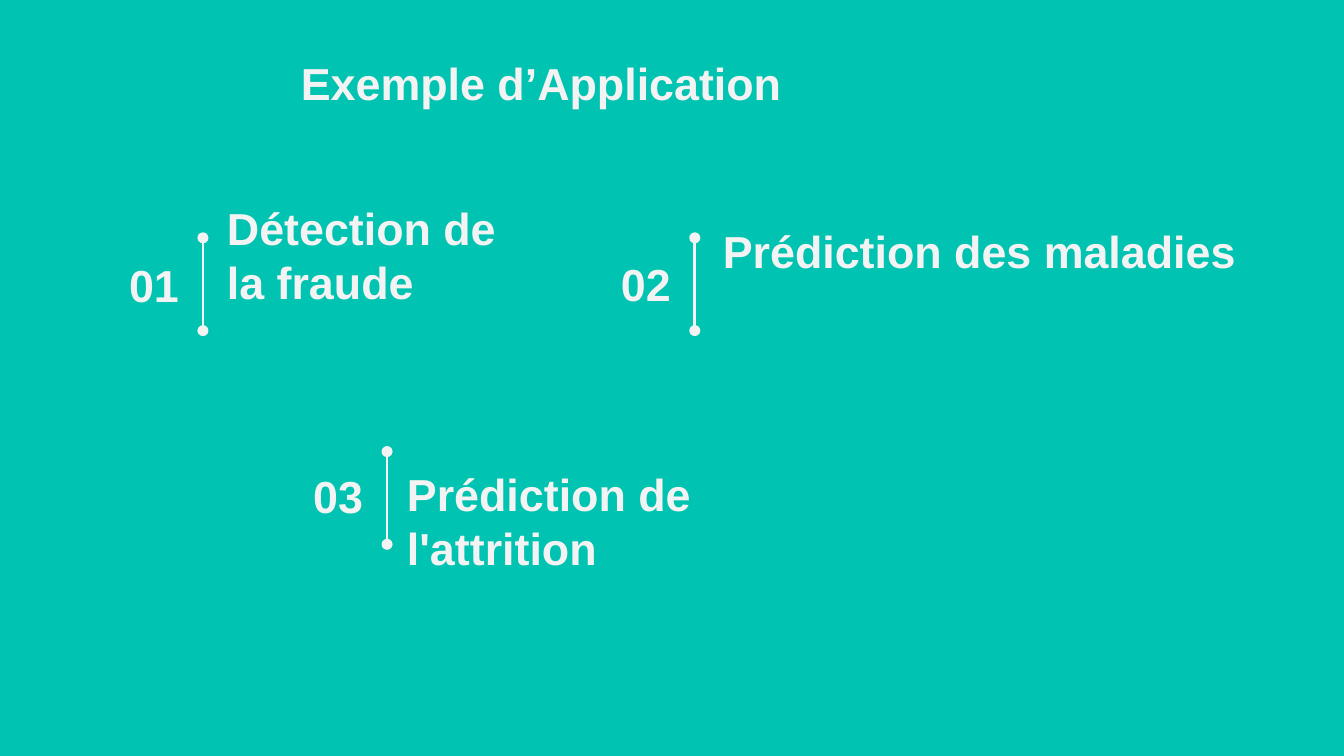
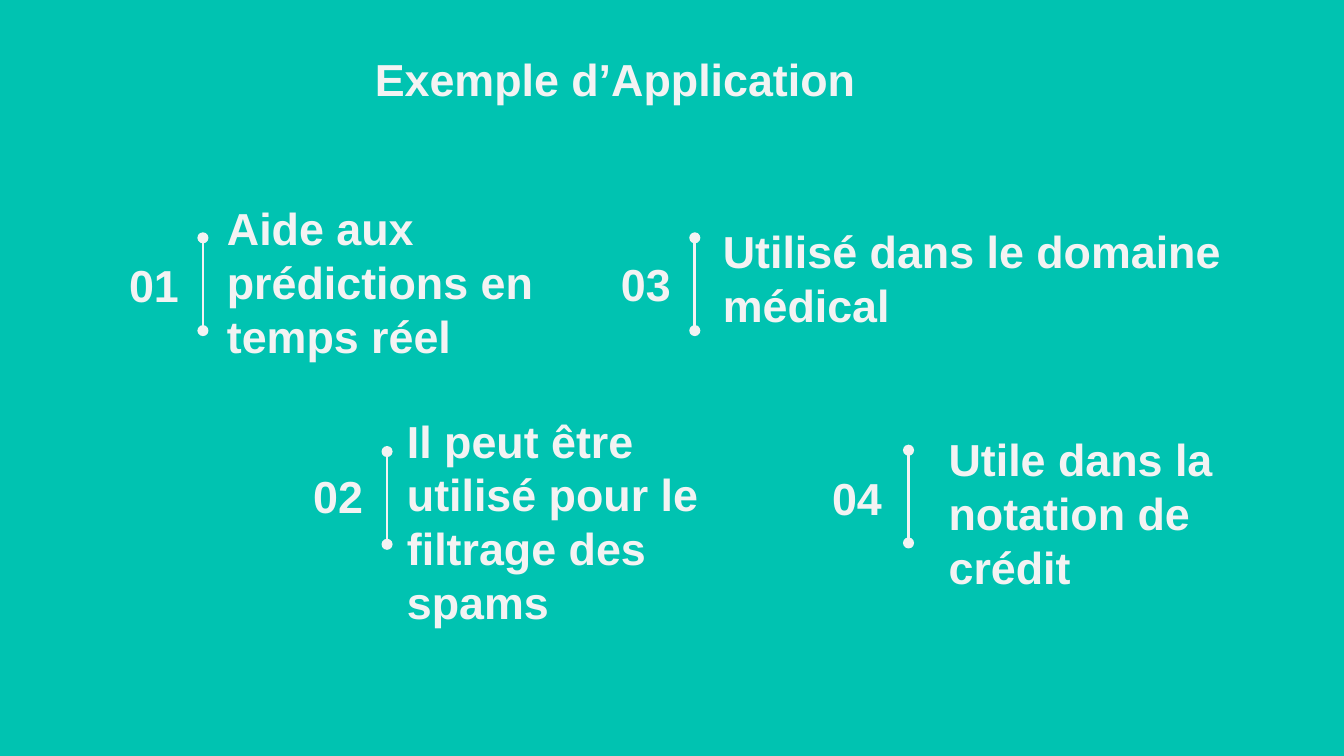
from lxml import etree
from pptx import Presentation
from pptx.dml.color import RGBColor
from pptx.enum.shapes import MSO_CONNECTOR
from pptx.enum.text import MSO_ANCHOR, PP_ALIGN
from pptx.oxml.ns import qn
from pptx.util import Emu, Pt

STRAIGHT = MSO_CONNECTOR.STRAIGHT
MIDDLE = MSO_ANCHOR.MIDDLE
LEFT, RIGHT = PP_ALIGN.LEFT, PP_ALIGN.RIGHT

PX = 9144  # 100 px to the inch
SLIDE_WIDTH = 1000 * PX
TEAL, PALE = "00C3B1", "F3F3F3"
INSET = 10
LINE_HEIGHT = 40
BAR_HEIGHT = 69
TITLE = "Exemple d’Application"

# Label box, number corner and top of the bar for each place on the slide
TOP_LEFT = ((159, 134, 256, 151), (77, 189), (151, 177))
TOP_RIGHT = ((528, 144, 419, 125), (443, 188), (517, 177))
LOW_LEFT = ((293, 309, 287, 157), (214, 346), (288, 336))
LOW_RIGHT = ((696, 313, 291, 137), (600, 347), (676, 335))

# Title box, then items as place, label and lines kept free below the label
SLIDES = [
    ((214, 22, 405, 79), [
        (TOP_LEFT, "Détection de la fraude", 1),
        (TOP_RIGHT, "Prédiction des maladies", 1),
        (LOW_LEFT, "Prédiction de l'attrition", 0),
    ]),
    ((269, 14, 479, 89), [
        (TOP_LEFT, "Aide aux prédictions en temps réel", 0),
        (LOW_LEFT, "Il peut être utilisé pour le filtrage des spams", 0),
        (TOP_RIGHT, "Utilisé dans le domaine médical", 0),
        (LOW_RIGHT, "Utile dans la notation de crédit", 0),
    ]),
]


def add_text(slide, box, text, align=LEFT, free_lines=0):
    shape = slide.shapes.add_textbox(*(Emu(value * PX) for value in box))
    frame = shape.text_frame
    frame.word_wrap = True
    frame.vertical_anchor = MIDDLE
    frame.margin_left = frame.margin_right = frame.margin_top = Emu(INSET * PX)
    frame.margin_bottom = Emu((INSET + free_lines * LINE_HEIGHT) * PX)
    frame.text = text
    paragraph = frame.paragraphs[0]
    paragraph.alignment = align
    font = paragraph.runs[0].font
    font.name, font.size, font.bold = "Arial", Pt(24), True
    font.color.rgb = RGBColor.from_string(PALE)


def add_bar(slide, x, y):
    """Draw a vertical line with a dot at each end."""
    bar = slide.shapes.add_connector(
        STRAIGHT, Emu(x * PX), Emu(y * PX), Emu(x * PX), Emu((y + BAR_HEIGHT) * PX))
    bar.line.color.rgb = RGBColor.from_string(PALE)
    bar.line.width = Pt(1.5)
    properties = bar.element.spPr
    outline = properties.find(qn("a:ln"))
    for end in ("a:headEnd", "a:tailEnd"):
        etree.SubElement(outline, qn(end), type="oval")
    etree.SubElement(properties, qn("a:effectLst"))


presentation = Presentation()
presentation.slide_width = Emu(SLIDE_WIDTH)
presentation.slide_height = Emu(SLIDE_WIDTH * 9 // 16)

for title_box, items in SLIDES:
    slide = presentation.slides.add_slide(presentation.slide_layouts[6])
    background = slide.background.fill
    background.solid()
    background.fore_color.rgb = RGBColor.from_string(TEAL)

    for number, (place, label, free_lines) in enumerate(items, start=1):
        label_box, number_corner, bar_top = place
        add_text(slide, label_box, label, free_lines=free_lines)
        add_text(slide, (*number_corner, 66, 46), f"{number:02}", RIGHT)
        add_bar(slide, *bar_top)

    add_text(slide, title_box, TITLE)

presentation.save("out.pptx")
